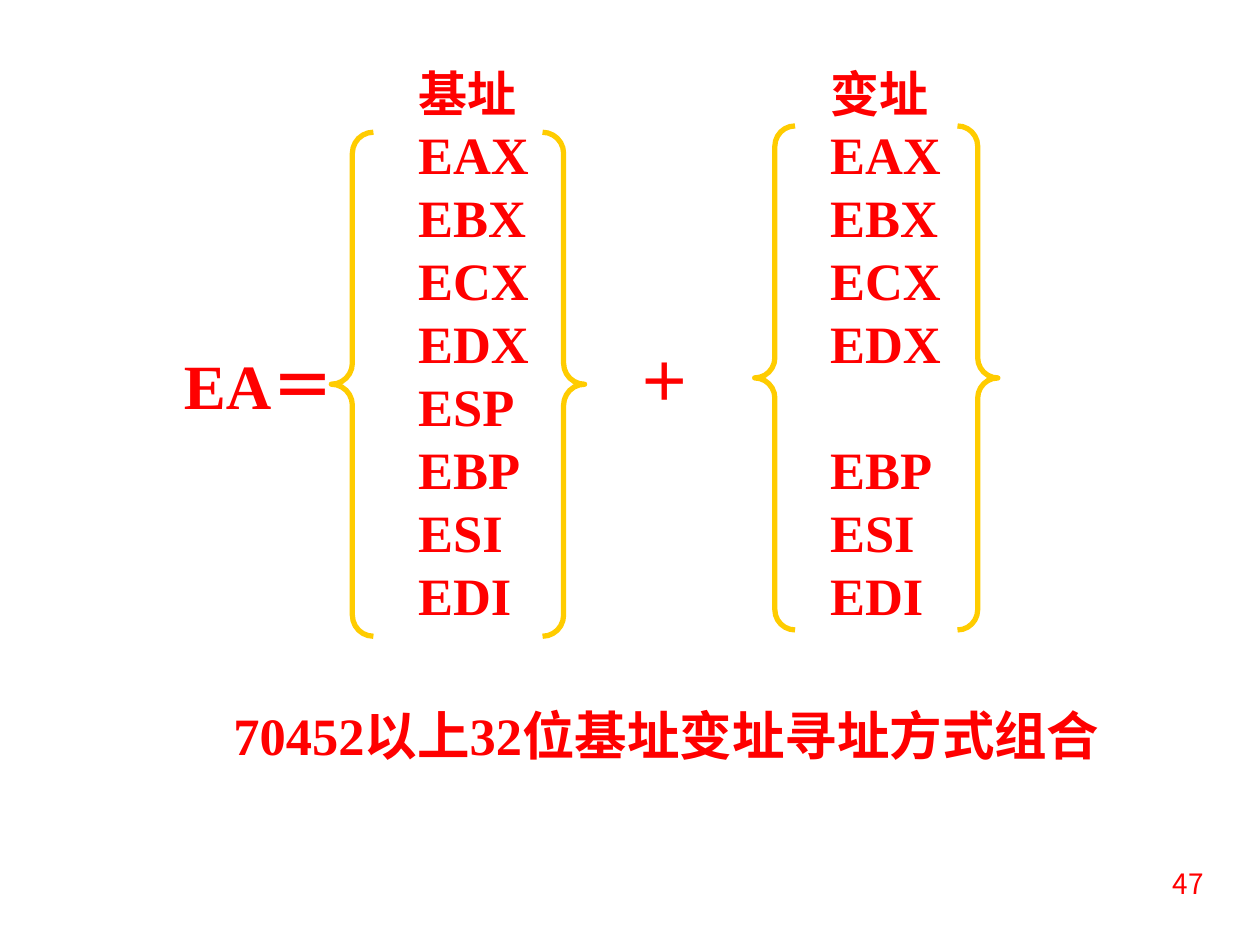
import pptx
import pptx.util
import pptx.dml.color
import pptx.enum.shapes
import pptx.enum.text

Inches = pptx.util.Inches
Pt = pptx.util.Pt
ALIGN = pptx.enum.text.PP_ALIGN
COLORS = {"text": "FF0000", "brace": "FFCC00"}
SERIF = "Times New Roman"
SANS = "Noto Sans CJK KR"
ROW = 36


def color(name):
    """Return the named colour."""
    return pptx.dml.color.RGBColor.from_string(COLORS[name])


def add_text(slide, box, text, size, font=SERIF, bold=True, inset=0, align=ALIGN.LEFT):
    """Add a text box and return its paragraphs."""
    frame = slide.shapes.add_textbox(*map(Inches, box)).text_frame
    frame.word_wrap = True
    frame.margin_left = frame.margin_right = Inches(inset)
    frame.margin_top = frame.margin_bottom = Inches(inset / 2)
    frame.text = text
    for line in frame.paragraphs:
        line.alignment = align
        line.line_spacing = Pt(size * 1.2)
        for run in line.runs:
            run.font.name = font
            run.font.size = Pt(size)
            run.font.bold = bold
            run.font.color.rgb = color("text")
    return frame.paragraphs


def add_list(slide, box, head, names, gap=None):
    """Add a headed register list, with one row left open before gap."""
    lines = add_text(slide, box, "\n".join([head] + names), 30, inset=0.1)
    lines[0].runs[0].font.size = Pt(28)
    if gap:
        lines[names.index(gap) + 1].space_before = Pt(ROW)


def add_brace(slide, box):
    """Add a pair of braces."""
    kind = pptx.enum.shapes.MSO_SHAPE.DOUBLE_BRACE
    brace = slide.shapes.add_shape(kind, *map(Inches, box))
    brace.adjustments[0] = 0.083
    brace.shadow.inherit = False
    brace.fill.background()
    brace.line.color.rgb = color("brace")
    brace.line.width = Pt(3)


def main():
    """Build the slide."""
    deck = pptx.Presentation()
    deck.slide_width, deck.slide_height = Inches(10), Inches(7.5)
    slide = deck.slides.add_slide(deck.slide_layouts[6])
    base = ["EAX", "EBX", "ECX", "EDX", "ESP", "EBP", "ESI", "EDI"]
    index = [name for name in base if name != "ESP"]

    add_text(slide, (9.21, 6.83, 0.79, 0.52), "47", 16, SANS, False, 0.1)
    add_list(slide, (3.22, 0.42, 1.59, 4.85), "基址", base)
    add_brace(slide, (2.63, 1.05, 2.01, 4))
    add_text(slide, (1.46, 2.75, 1.51, 0.81), "EA＝", 36)
    add_text(slide, (5.07, 2.77, 0.45, 0.81), "＋", 30)
    add_list(slide, (6.49, 0.42, 1.17, 4.85), "变址", index, "EBP")
    add_brace(slide, (5.99, 1, 1.93, 4))
    add_text(slide, (1.68, 5.58, 7.22, 1.08), "70452以上32位基址变址寻址方式组合",
             30, align=ALIGN.CENTER)
    deck.save("out.pptx")


main()
